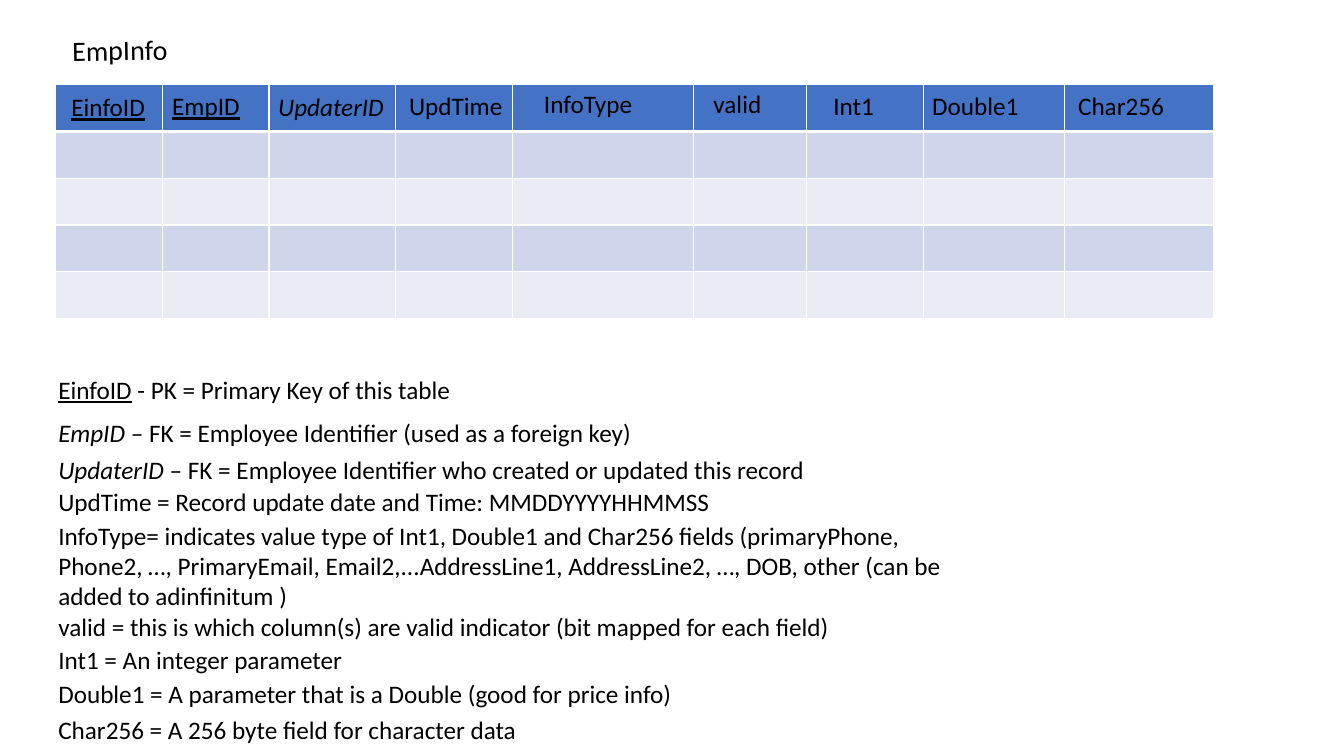
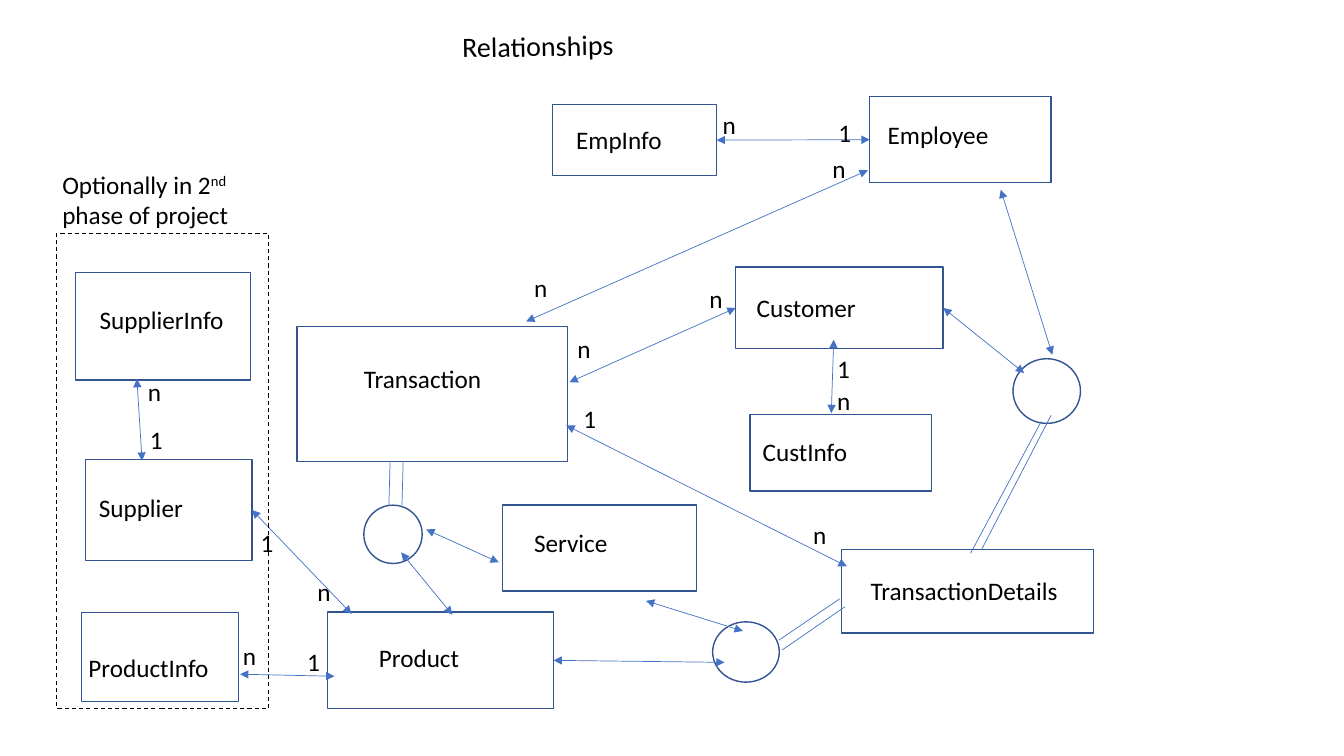
from lxml.etree import SubElement
from pptx import Presentation
from pptx.dml.color import RGBColor
from pptx.enum.dml import MSO_LINE
from pptx.enum.shapes import MSO_CONNECTOR, MSO_SHAPE
from pptx.enum.text import MSO_AUTO_SIZE
from pptx.oxml.ns import qn
from pptx.util import Cm, Pt

BLACK = RGBColor(0x00, 0x00, 0x00)
WHITE = RGBColor(0xFF, 0xFF, 0xFF)
BLUE = RGBColor(0x44, 0x72, 0xC4)
OUTLINE = RGBColor(0x32, 0x54, 0x91)
BAND_DARK = RGBColor(0xCF, 0xD5, 0xEA)
BAND_LIGHT = RGBColor(0xE9, 0xEB, 0xF5)

FONT = "Calibri"
LINE_HEIGHT = 1.02
TOP, LEFT, BOTTOM, RIGHT = range(4)


class Deck:
    def __init__(self):
        self.prs = Presentation()
        self.prs.slide_width, self.prs.slide_height = Cm(33.87), Cm(19.05)
        self.shapes = None

    def new_slide(self, title, left, top, width):
        self.shapes = self.prs.slides.add_slide(self.prs.slide_layouts[6]).shapes
        self.text(title, left, top, width, 1.12, size=20).rotation = 359

    def text(self, content, left, top, width, height=LINE_HEIGHT, size=18):
        """Add a text box; content is a string or a list of (text, style) runs."""
        box = self.shapes.add_textbox(Cm(left), Cm(top), Cm(width), Cm(height))
        frame = box.text_frame
        frame.word_wrap = True
        frame.auto_size = MSO_AUTO_SIZE.SHAPE_TO_FIT_TEXT
        runs = [(content, "")] if isinstance(content, str) else content
        for words, style in runs:
            run = frame.paragraphs[0].add_run()
            run.text = words
            font = run.font
            font.name, font.size, font.color.rgb = FONT, Pt(size), BLACK
            if style == "underline":
                font.underline = True
            elif style == "italic":
                font.italic = True
            elif style == "superscript":
                run._r.get_or_add_rPr().set("baseline", "30000")
        return box

    def outline(self, kind, left, top, width, height):
        shape = self.shapes.add_shape(kind, Cm(left), Cm(top), Cm(width), Cm(height))
        shape.shadow.inherit = False
        shape.fill.solid()
        shape.fill.fore_color.rgb = WHITE
        shape.line.color.rgb, shape.line.width = OUTLINE, Pt(1)
        return shape

    def dashed_frame(self, left, top, width, height):
        frame = self.outline(MSO_SHAPE.RECTANGLE, left, top, width, height)
        frame.fill.background()
        frame.line.color.rgb, frame.line.width = BLACK, Pt(0.75)
        frame.line.dash_style = MSO_LINE.DASH

    def link(self, start, end, arrows=True):
        """Join two ends, each an (x, y) point or a (shape, side) pair."""
        points = [(0, 0) if hasattr(e[0], "shape_id") else e for e in (start, end)]
        (x1, y1), (x2, y2) = points
        line = self.shapes.add_connector(
            MSO_CONNECTOR.STRAIGHT, Cm(x1), Cm(y1), Cm(x2), Cm(y2))
        for place, join in ((start, line.begin_connect), (end, line.end_connect)):
            if hasattr(place[0], "shape_id"):
                join(*place)
        line.line.color.rgb, line.line.width = BLUE, Pt(0.5)
        if arrows:
            for tag in ("a:headEnd", "a:tailEnd"):
                SubElement(line.line._get_or_add_ln(), qn(tag), type="triangle")
        SubElement(line._element.spPr, qn("a:effectLst"))

    def banded_table(self, left, top, widths, row_height, row_count):
        table = self.shapes.add_table(
            row_count, len(widths), Cm(left), Cm(top),
            Cm(sum(widths)), Cm(row_height * row_count)).table
        for column, width in zip(table.columns, widths):
            column.width = Cm(width)
        for index, row in enumerate(table.rows):
            row.height = Cm(row_height)
            color = BLUE if index == 0 else (BAND_LIGHT, BAND_DARK)[index % 2]
            for cell in row.cells:
                self.cell_borders(cell, top=3 if index == 1 else 1,
                                  bottom=3 if index == 0 else 1)
                cell.fill.solid()
                cell.fill.fore_color.rgb = color

    @staticmethod
    def cell_borders(cell, top, bottom):
        properties = cell._tc.get_or_add_tcPr()
        for side, points in (("L", 1), ("R", 1), ("T", top), ("B", bottom)):
            border = SubElement(properties, qn(f"a:ln{side}"), w=str(Pt(points)))
            fill = SubElement(border, qn("a:solidFill"))
            SubElement(fill, qn("a:srgbClr"), val=str(WHITE))


# Field name, style, left, top, width
FIELDS = [
    ("EinfoID", "underline", 1.55, 2.18, 2.44),
    ("EmpID", "underline", 4.09, 2.16, 2.46),
    ("UpdaterID", "italic", 6.76, 2.18, 3.2),
    ("UpdTime", "", 10.06, 2.16, 3.05),
    ("InfoType", "", 13.46, 2.11, 3.51),
    ("valid", "", 17.73, 2.11, 2.39),
    ("Int1", "", 20.75, 2.16, 2.69),
    ("Double1", "", 23.24, 2.16, 2.92),
    ("Char256", "", 26.92, 2.16, 2.92),
]

# Content, top, width, height
FIELD_NOTES = [
    ([("EinfoID", "underline"), (" - PK = Primary Key of this table", "")],
     9.3, 23.55, LINE_HEIGHT),
    ([("EmpID", "italic"),
      (" – FK = Employee Identifier (used as a foreign key)", "")],
     10.39, 20.45, LINE_HEIGHT),
    ([("UpdaterID", "italic"),
      (" – FK = Employee Identifier who created or updated this record", "")],
     11.33, 20.88, LINE_HEIGHT),
    ("UpdTime = Record update date and Time: MMDDYYYYHHMMSS",
     12.14, 22.99, LINE_HEIGHT),
    ("InfoType= indicates value type of Int1, Double1 and Char256 fields "
     "(primaryPhone, Phone2, …, PrimaryEmail, Email2,...AddressLine1, "
     "AddressLine2, …, DOB, other (can be added to adinfinitum )",
     12.98, 22.99, 2.57),
    ("valid = this is which column(s) are valid indicator "
     "(bit mapped for each field)", 15.29, 23.9, LINE_HEIGHT),
    ("Int1 = An integer parameter", 16.1, 22.99, LINE_HEIGHT),
    ("Double1 = A parameter that is a Double (good for price info)",
     16.97, 23.9, LINE_HEIGHT),
    ("Char256 = A 256 byte field for character data", 17.88, 23.57, LINE_HEIGHT),
]

# Entity: box (left, top, width, height), label (left, top, width)
ENTITIES = {
    "EmpInfo": ((13.92, 2.64, 4.14, 1.78), (14.27, 3.02, 3.1)),
    "Employee": ((21.92, 2.44, 4.57, 2.16), (22.12, 2.87, 3.68)),
    "Customer": ((18.54, 6.73, 5.23, 2.06), (18.82, 7.24, 3.3)),
    "CustInfo": ((18.9, 10.44, 4.57, 1.93), (18.97, 10.87, 2.92)),
    "TransactionDetails": ((21.21, 13.84, 6.35, 2.11), (21.69, 14.38, 5.54)),
    "Transaction": ((7.49, 8.23, 6.81, 3.4), (8.92, 9.02, 3.94)),
    "Product": ((8.26, 15.42, 5.69, 2.44), (9.3, 16.05, 2.9)),
    "Service": ((12.67, 12.73, 4.88, 2.16), (13.21, 13.16, 2.74)),
    "ProductInfo": ((2.06, 15.44, 3.96, 2.24), (1.98, 16.31, 3.99)),
    "Supplier": ((2.16, 11.58, 4.19, 2.54), (2.24, 12.27, 3.23)),
    "SupplierInfo": ((1.9, 6.86, 4.42, 2.72), (2.26, 7.54, 4.47)),
}

JUNCTIONS = [
    (17.96, 15.67, 1.68, 1.52),
    (9.17, 12.73, 1.47, 1.47),
    (25.53, 9.04, 1.7, 1.63),
]

# Each end is a point or an entity with a side
RELATIONS = [
    (("EmpInfo", RIGHT), ("Employee", LEFT)),
    ((21.01, 8.56), (20.95, 10.41)),
    ((13.26, 8.1), (21.87, 4.29)),
    ((14.35, 9.63), ("Customer", LEFT)),
    ((14.27, 10.72), (21.34, 14.27)),
    ((10.11, 13.92), (11.4, 15.49)),
    ((10.74, 13.34), (12.57, 14.17)),
    ((16.28, 15.14), (18.72, 15.9)),
    (("Product", RIGHT), (18.26, 16.69)),
    ((6.05, 16.99), (8.43, 17.04)),
    (("Supplier", RIGHT), (8.86, 15.47)),
    (("Customer", RIGHT), (25.81, 9.4)),
    ((25.22, 4.78), (26.52, 8.94)),
    ((3.45, 9.55), (3.58, 11.61)),
]

DOUBLE_LINES = [
    ((9.83, 11.66), (9.8, 12.73)),
    ((10.16, 11.63), (10.13, 12.73)),
    ((19.63, 16.13), (21.16, 15.09)),
    ((19.71, 16.38), (21.29, 15.29)),
    ((26.49, 10.46), (24.74, 13.84)),
    ((26.24, 10.62), (24.46, 13.94)),
]

CARDINALITIES = {
    "n": [(17.96, 2.64), (20.85, 9.58), (5.87, 16), (7.75, 14.4), (3.48, 9.37),
          (20.24, 12.95), (14.3, 8.28), (17.63, 7.01), (20.73, 3.73),
          (13.21, 6.73)],
    "1": [(20.88, 2.82), (20.85, 8.79), (7.49, 16.15), (6.32, 13.16),
          (3.53, 10.57), (14.45, 10.03)],
}


def build_emp_info(deck):
    deck.new_slide("EmpInfo", 1.57, 0.69, 3.56)
    deck.banded_table(1.4, 2.13, row_height=1.18, row_count=5, widths=[
        2.69, 2.69, 3.18, 2.95, 4.57, 2.84, 2.95, 3.56, 3.76])
    for name, style, left, top, width in FIELDS:
        deck.text([(name, style)], left, top, width)
    for content, top, width, height in FIELD_NOTES:
        deck.text(content, 1.22, top, width, height)


def build_relationships(deck):
    deck.new_slide("Relationships", 11.4, 0.58, 6.27)
    boxes = {name: deck.outline(MSO_SHAPE.RECTANGLE, *box)
             for name, (box, _) in ENTITIES.items()}
    for junction in JUNCTIONS:
        deck.outline(MSO_SHAPE.OVAL, *junction)
    for ends in RELATIONS:
        deck.link(*((boxes.get(a, a), b) for a, b in ends))
    for start, end in DOUBLE_LINES:
        deck.link(start, end, arrows=False)
    for name, (_, label) in ENTITIES.items():
        deck.text(name, *label)
    for symbol, places in CARDINALITIES.items():
        for left, top in places:
            deck.text(symbol, left, top, 0.9)
    deck.dashed_frame(1.42, 5.89, 5.36, 11.96)
    deck.text([("Optionally in 2", ""), ("nd", "superscript"),
               (" phase of project", "")], 1.32, 4.14, 5.23, 1.8)


def main():
    deck = Deck()
    build_emp_info(deck)
    build_relationships(deck)
    deck.prs.save("out.pptx")


if __name__ == "__main__":
    main()
